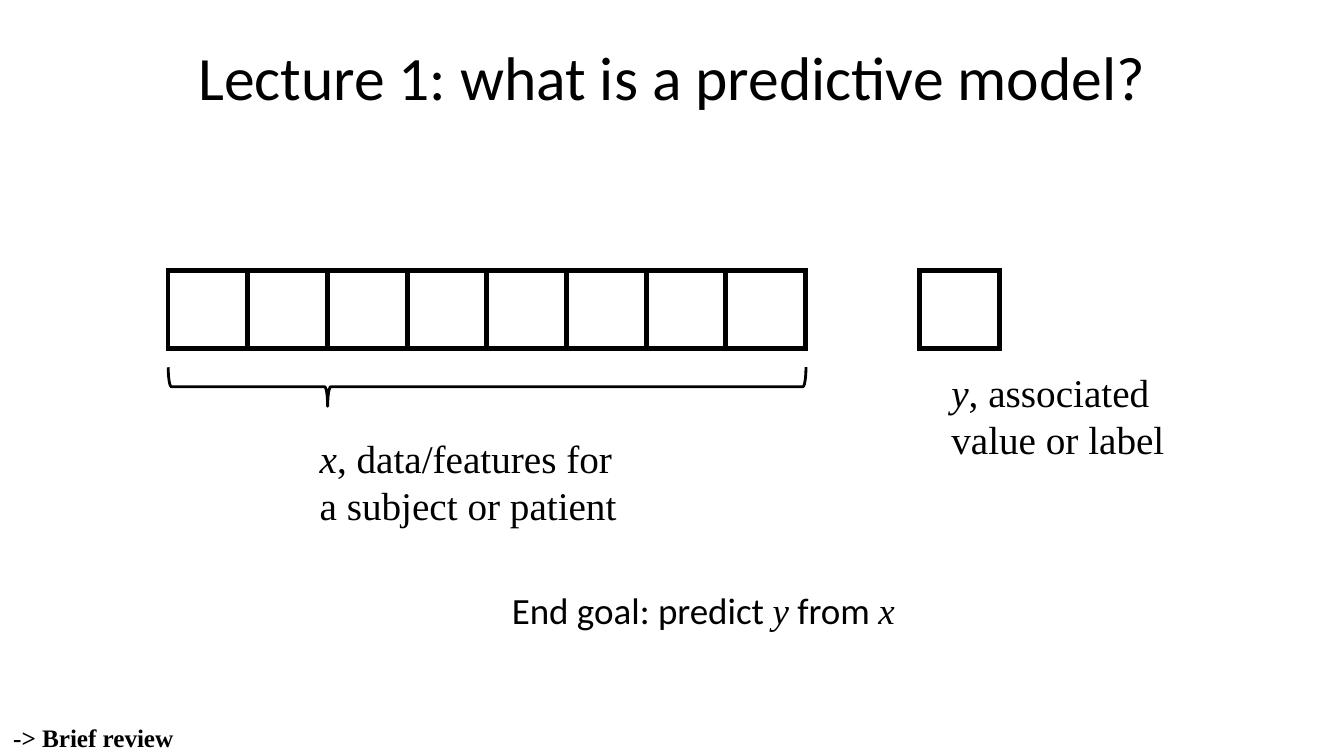
from dataclasses import dataclass

from lxml.etree import SubElement
from pptx import Presentation
from pptx.dml.color import RGBColor
from pptx.enum.shapes import MSO_SHAPE
from pptx.enum.text import MSO_ANCHOR, MSO_AUTO_SIZE, PP_ALIGN
from pptx.oxml.ns import qn
from pptx.util import Pt

PX = 4572


@dataclass(frozen=True)
class Theme:
    """Colours, fonts and type sizes of the slide."""
    ink: str = "000000"
    sans: str = "Calibri"
    serif: str = "Times New Roman"
    title: float = 33
    label: float = 21
    goal: float = 19.8
    note: float = 13.5
    border: float = 3
    brace: float = 1.5


T = Theme()


def emu(*box):
    """Turn px lengths into EMU."""
    return [v * PX for v in box]


def style(r, size, font, italic=False, bold=False):
    """Format one run."""
    r.font.size = Pt(size)
    r.font.name = font
    r.font.italic = italic
    r.font.bold = bold
    r.font.color.rgb = RGBColor.from_string(T.ink)


def add_title(s, box, text):
    """Place and format the title placeholder."""
    sp = s.shapes.title
    sp.left, sp.top, sp.width, sp.height = emu(*box)
    tf = sp.text_frame
    tf.text = text
    tf.vertical_anchor = MSO_ANCHOR.TOP
    p = tf.paragraphs[0]
    p.alignment = PP_ALIGN.CENTER
    p.line_spacing = 0.9
    style(p.runs[0], T.title, T.sans)


def add_text(s, box, parts, size, font=T.serif, bold=False, wrap=True):
    """Add a text box of (text, is_variable) parts, variables in serif italics."""
    tf = s.shapes.add_textbox(*emu(*box)).text_frame
    tf.word_wrap = wrap
    tf.auto_size = MSO_AUTO_SIZE.SHAPE_TO_FIT_TEXT
    p = tf.paragraphs[0]
    for text, variable in parts:
        r = p.add_run()
        r.text = text
        style(r, size, T.serif if variable else font, variable, bold)


def add_cells(s, box, count):
    """Add a one-row table of empty outlined cells."""
    tbl = s.shapes.add_table(1, count, *emu(*box)).table
    tbl.first_row = tbl.horz_banding = False
    for cell in tbl.iter_cells():
        tc_pr = cell._tc.get_or_add_tcPr()
        for side in ("a:lnL", "a:lnR", "a:lnT", "a:lnB"):
            ln = SubElement(tc_pr, qn(side), w=str(Pt(T.border)))
            SubElement(SubElement(ln, qn("a:solidFill")), qn("a:srgbClr"), val=T.ink)
        cell.fill.background()


def add_brace(s, box):
    """Add a brace that opens upwards and fills the given box."""
    x, y, w, h = box
    sp = s.shapes.add_shape(MSO_SHAPE.LEFT_BRACE,
                            *emu(x + (w - h) // 2, y + (h - w) // 2, h, w))
    sp.rotation = 270
    sp.adjustments[0] = 0.08
    sp.adjustments[1] = 0.25
    sp.shadow.inherit = False
    sp.fill.background()
    sp.line.color.rgb = RGBColor.from_string(T.ink)
    sp.line.width = Pt(T.brace)


def add_features(s, box):
    """Place the feature row with its brace and label."""
    x, y, w, h = box
    add_brace(s, (x + 1, y + 145, w, 58))
    add_text(s, (x + 206, y + 235, 490, 162),
             [("x", True), (", data/features for a subject or patient", False)], T.label)
    add_cells(s, box, 8)


def add_target(s, box):
    """Place the target cell with its label."""
    x, y, w, h = box
    add_text(s, (x + 28, y + 136, 438, 162),
             [("y", True), (", associated value or label", False)], T.label)
    add_cells(s, box, 1)


def main():
    """Build and save the slide."""
    prs = Presentation()
    prs.slide_width, prs.slide_height = emu(2000, 1125)
    s = prs.slides.add_slide(prs.slide_layouts[5])
    add_title(s, (0, 60, 2000, 218), "Lecture 1: what is a predictive model?")
    add_features(s, (250, 402, 949, 116))
    add_target(s, (1368, 402, 119, 116))
    add_text(s, (742, 865, 626, 86),
             [("End goal: predict ", False), ("y", True), (" from ", False), ("x", True)],
             T.goal, T.sans, wrap=False)
    add_text(s, (0, 1065, 622, 66), [("-> Brief review", False)], T.note, bold=True)
    prs.save("out.pptx")


if __name__ == "__main__":
    main()
